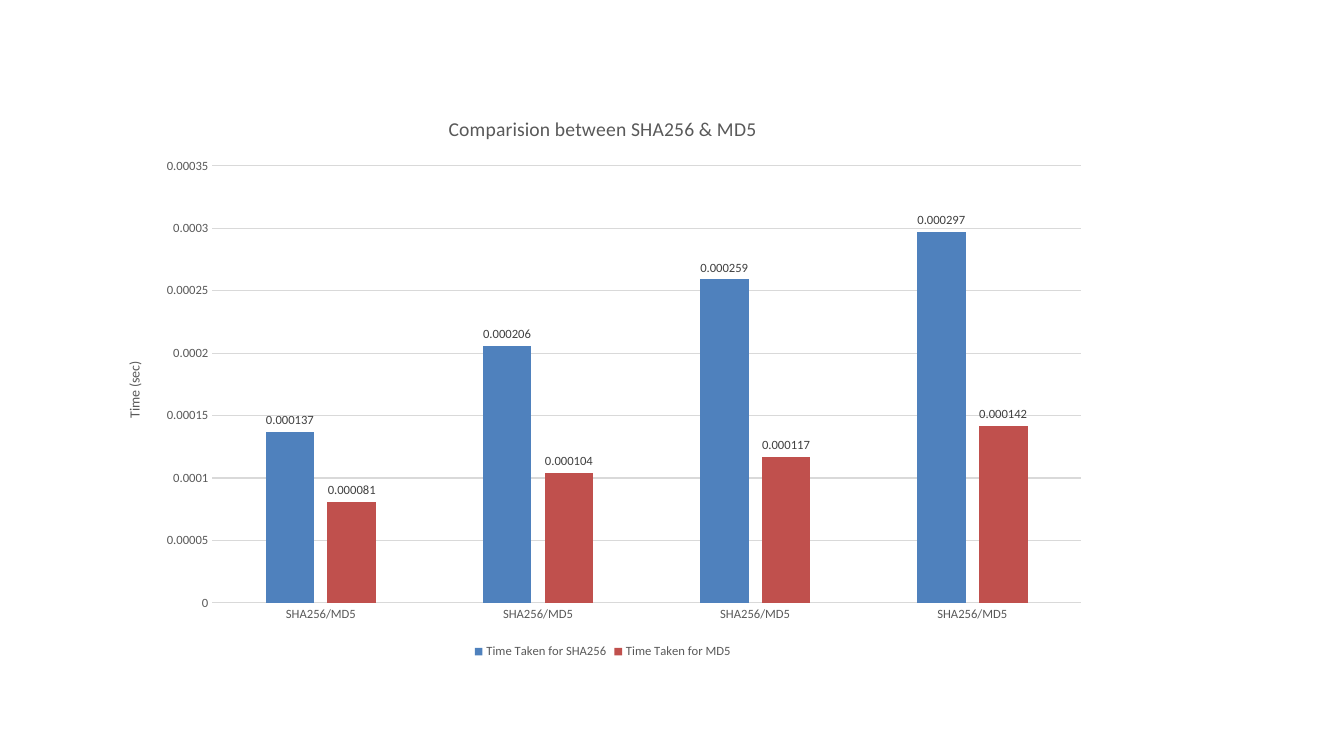
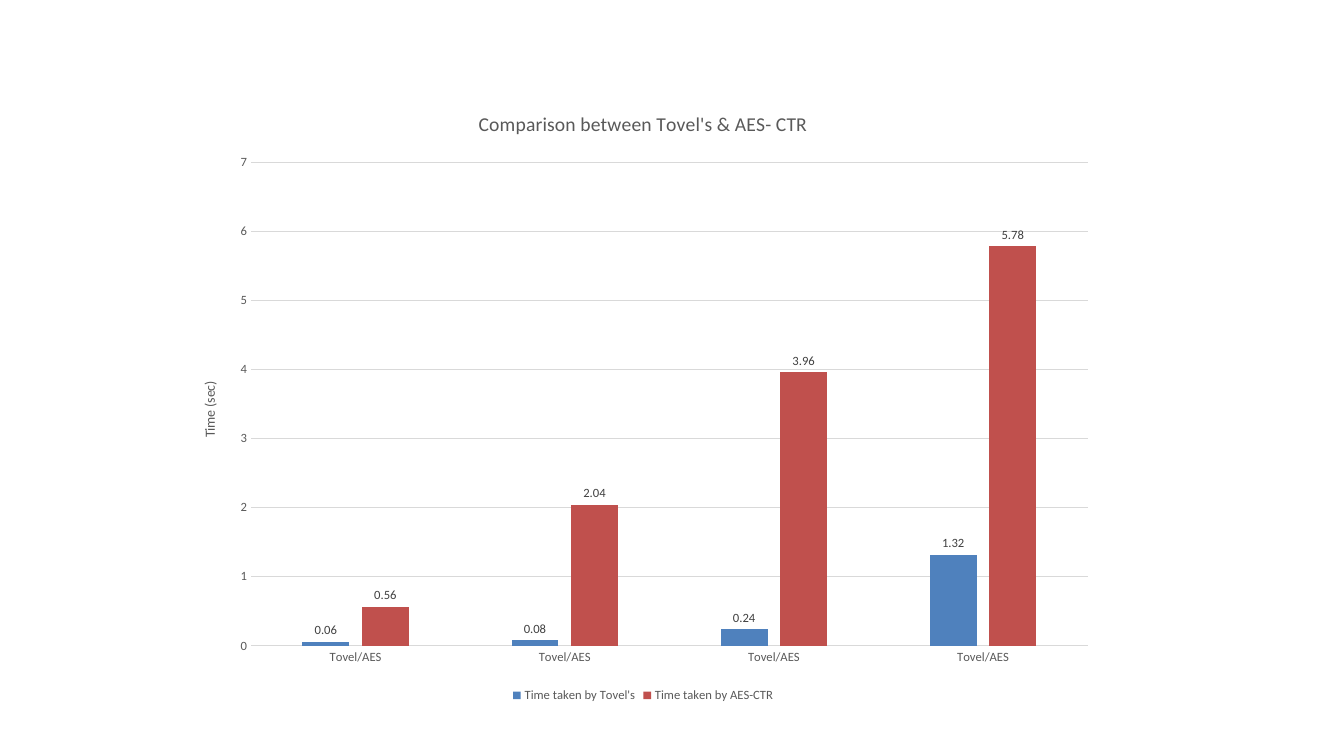
"""Build two slides, each with a clustered column chart of hash or cipher timings."""
from dataclasses import dataclass

from pptx import Presentation
from pptx.chart.data import CategoryChartData
from pptx.dml.color import RGBColor
from pptx.enum.chart import XL_CHART_TYPE, XL_LABEL_POSITION, XL_LEGEND_POSITION, XL_TICK_MARK
from pptx.util import Inches, Pt

SLIDES = [
    {
        "title": "Comparision between SHA256 & MD5",
        "group": "SHA256/MD5",
        "series": [
            ("Time Taken for SHA256", (0.000137, 0.000206, 0.000259, 0.000297)),
            ("Time Taken for MD5", (0.000081, 0.000104, 0.000117, 0.000142)),
        ],
        "scale": {"minimum_scale": 0, "maximum_scale": 0.00035, "major_unit": 0.00005},
        "digits": "0.000000",
        "share": (7.8, 12.5, 74.1, 75.2),
    },
    {
        "title": "Comparison between Tovel's & AES- CTR",
        "group": "Tovel/AES",
        "series": [
            ("Time taken by Tovel's", (0.06, 0.08, 0.24, 1.32)),
            ("Time taken by AES-CTR", (0.56, 2.04, 3.96, 5.78)),
        ],
        "scale": {"minimum_scale": 0, "maximum_scale": 7, "major_unit": 1},
        "digits": "0.00",
        "share": (13.4, 11.75, 68.9, 81.75),
    },
]
UNIT = "Time (sec)"


@dataclass(frozen=True)
class Theme:
    """Hold the colours, type sizes and measures that the slides share."""
    wide: float = 13.33
    high: float = 7.5
    face: str = "Calibri"
    text: str = "595959"
    label: str = "404040"
    rule: str = "D9D9D9"
    bars: tuple = ("4F81BD", "C0504D")
    head: int = 14
    name: int = 10
    small: int = 9
    line: float = 0.75
    gap: int = 219
    lap: int = -27


LOOK = Theme()


def put(item, **values):
    """Set each named value on an item."""
    for key, value in values.items():
        setattr(item, key, value)


def style(font, size, tint=LOOK.text):
    """Give a font the shared face, a size and a colour."""
    put(font, name=LOOK.face, size=Pt(size), bold=False)
    font.color.rgb = RGBColor.from_string(tint)


def rule(line):
    """Draw a line in the shared pale grey."""
    line.color.rgb = RGBColor.from_string(LOOK.rule)
    line.width = Pt(LOOK.line)


def caption(owner, words, size):
    """Write the title of a chart or an axis."""
    frame = owner.text_frame
    frame.text = words
    style(frame.paragraphs[0].runs[0].font, size)


def dress_axes(chart, scale):
    """Format both axes, the grid and the axis title."""
    base, side = chart.category_axis, chart.value_axis
    for axis in (base, side):
        put(axis, major_tick_mark=XL_TICK_MARK.NONE, minor_tick_mark=XL_TICK_MARK.NONE)
        style(axis.tick_labels.font, LOOK.small)
    rule(base.format.line)
    put(side, has_major_gridlines=True, **scale)
    put(side.tick_labels, number_format="General", number_format_is_linked=False)
    rule(side.major_gridlines.format.line)
    side.format.line.fill.background()
    caption(side.axis_title, UNIT, LOOK.name)


def dress_bars(plot, digits):
    """Colour the columns and label their values."""
    put(plot, gap_width=LOOK.gap, overlap=LOOK.lap, vary_by_categories=False)
    for series, tint in zip(plot.series, LOOK.bars):
        series.format.fill.solid()
        series.format.fill.fore_color.rgb = RGBColor.from_string(tint)
        series.invert_if_negative = False
        labels = series.data_labels
        put(labels, show_value=True, position=XL_LABEL_POSITION.OUTSIDE_END,
            number_format=digits, number_format_is_linked=False)
        style(labels.font, LOOK.small, LOOK.label)


def add_page(deck, page):
    """Add one slide with its chart."""
    data = CategoryChartData(number_format="General")
    data.categories = [page["group"]] * len(page["series"][0][1])
    for name, values in page["series"]:
        data.add_series(name, values)
    sides = (deck.slide_width, deck.slide_height) * 2
    box = [int(side * part / 100) for side, part in zip(sides, page["share"])]
    slide = deck.slides.add_slide(deck.slide_layouts[6])
    chart = slide.shapes.add_chart(XL_CHART_TYPE.COLUMN_CLUSTERED, *box, data).chart
    style(chart.font, LOOK.name)
    caption(chart.chart_title, page["title"], LOOK.head)
    chart.chart_title.include_in_layout = False
    chart.has_legend = True
    put(chart.legend, position=XL_LEGEND_POSITION.BOTTOM, include_in_layout=False)
    style(chart.legend.font, LOOK.small)
    dress_axes(chart, page["scale"])
    dress_bars(chart.plots[0], page["digits"])


def main():
    """Build and save the deck."""
    deck = Presentation()
    put(deck, slide_width=Inches(LOOK.wide), slide_height=Inches(LOOK.high))
    for page in SLIDES:
        add_page(deck, page)
    deck.save("out.pptx")


if __name__ == "__main__":
    main()
